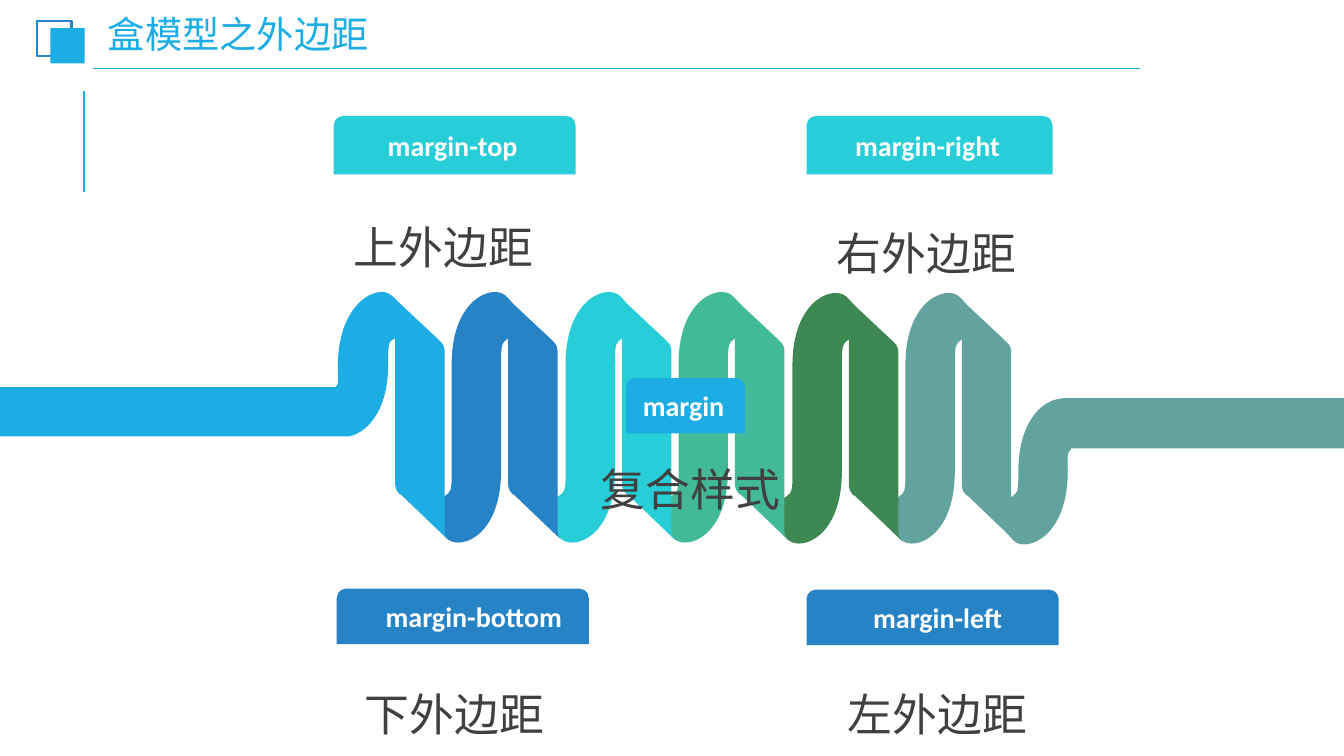
from collections import namedtuple
from dataclasses import dataclass
from lxml.etree import SubElement
from pptx import Presentation
from pptx.dml.color import RGBColor
from pptx.enum.shapes import MSO_CONNECTOR as Connector, MSO_SHAPE as Preset
from pptx.enum.text import MSO_ANCHOR as Anchor, MSO_AUTO_SIZE as AutoSize, PP_ALIGN as Align
from pptx.oxml.ns import qn
from pptx.util import Pt

EMU_PER_PX = 9144
Box = namedtuple("Box", "left top width height")
Label = namedtuple("Label", "tab color name shift caption_box caption")


@dataclass(frozen=True)
class Theme:
    font: str = "Calibri"
    sky: str = "1CADE4"
    blue: str = "2683C6"
    aqua: str = "27CED7"
    mint: str = "42BA97"
    green: str = "3E8853"
    sage: str = "62A39F"
    ink: str = "404040"
    white: str = "FFFFFF"
    title_size: float = 26.6
    tab_size: int = 20
    caption_size: int = 32


THEME = Theme()

ENTRY = [(-13, -3), (-8, -4, -3, -3, 0, 0), (9, 7, 23, 26, 20, 35),
         (18, 42, 9, 37, -1, 46), (-3, 49, -3, 57, -3, 69),
         (-3, 117, -26, 137, -42, 140), (-388, 140), (-388, 91), (-55, 91),
         (-53, 88), (-52, 84, -53, 77, -53, 69), (-52, 21, -30, 0, -13, -3)]
WAVE = [(-3, 174), (-3, 69), (-3, 57, -3, 49, 0, 46), (9, 37, 18, 42, 20, 35),
        (23, 26, 9, 7, 1, 0), (-12, -11, -52, 4, -52, 68), (-52, 174),
        (-52, 186, -52, 193, -55, 196), (-64, 205, -73, 201, -75, 207),
        (-78, 216, -64, 235, -56, 242), (-42, 253, -3, 238, -3, 174)]
SLAB = [(53, 234), (53, 56), (53, 54, 53, 49, 48, 45), (47, 44), (0, 0),
        (1, 0, 4, 4, 4, 9), (4, 187), (4, 188, 4, 193, 8, 197), (10, 198),
        (57, 243), (56, 242, 53, 239, 53, 234)]
EXIT = [(-7, 101), (271, 101), (271, 151), (0, 151), (0, 152),
        (-4, 154, -3, 162, -3, 174), (-3, 238, -43, 254, -56, 243),
        (-64, 235, -78, 217, -75, 207), (-73, 201, -64, 205, -55, 196),
        (-52, 194, -52, 186, -52, 174), (-52, 126, -30, 105, -13, 102),
        (-11, 102, -9, 101, -7, 101)]
COIL_COLORS = [THEME.sky, THEME.blue, THEME.aqua, THEME.mint, THEME.green, THEME.sage]
COIL_PITCH = 112.4

LABELS = [
    Label(Box(621, 375, 118, 55), THEME.sky, "margin", -2, Box(554, 437, 262, 75), "复合样式"),
    Label(Box(800, 585, 250, 55), THEME.blue, "margin-left", 5, Box(799, 660, 262, 75), "左外边距"),
    Label(Box(800, 115, 244, 58), THEME.aqua, "margin-right", -2, Box(788, 203, 262, 75), "右外边距"),
    Label(Box(331, 115, 240, 58), THEME.aqua, "margin-top", -2, Box(309, 197, 262, 75), "上外边距"),
    Label(Box(334, 584, 250, 55), THEME.blue, "margin-bottom", 11, Box(320, 660, 262, 75), "下外边距"),
]


def px(value):
    return round(value * EMU_PER_PX)


def emu(box):
    return [px(length) for length in box]


def rgb(color):
    return RGBColor.from_string(color)


def paint(shape, fill=None, line=None):
    shape.shadow.inherit = False
    if fill:
        shape.fill.solid()
        shape.fill.fore_color.rgb = rgb(fill)
    else:
        shape.fill.background()
    if line:
        shape.line.color.rgb = rgb(line)
        shape.line.width = Pt(1.5)
    else:
        shape.line.fill.background()


def write(frame, text, size, color, align=Align.CENTER, bold=False, spacing=None):
    paragraph = frame.paragraphs[0]
    paragraph.text = text
    paragraph.alignment = align
    paragraph.line_spacing = spacing
    font = paragraph.font
    font.name, font.size, font.bold = THEME.font, Pt(size), bold
    font.color.rgb = rgb(color)


def add_rule(slide, start, end, width):
    rule = slide.shapes.add_connector(Connector.STRAIGHT, *emu(start + end))
    rule.line.color.rgb = rgb(THEME.sky)
    rule.line.width = Pt(width)
    SubElement(rule._element.spPr, qn("a:effectLst"))


def add_header(slide, box, text):
    left, top = box.left, box.top
    add_rule(slide, (left + 46, top + box.height), (left + 46, top + 69), 1.5)
    add_rule(slide, (left + 55, top + 47), (left + box.width, top + 47), 1.25)
    for offset_x, offset_y, fill, line in [(0, 0, None, THEME.blue), (13, 7, THEME.sky, None)]:
        square = slide.shapes.add_shape(
            Preset.RECTANGLE, *emu((left + offset_x, top + offset_y, 34, 35)))
        paint(square, fill, line)
    title = slide.shapes.title
    title.left, title.top, title.width, title.height = emu((left + 63, top - 3, 393, 37))
    frame = title.text_frame
    frame.auto_size, frame.vertical_anchor = AutoSize.NONE, Anchor.MIDDLE
    frame.margin_left = frame.margin_right = px(7)
    frame.margin_top = frame.margin_bottom = px(4)
    write(frame, text, THEME.title_size, THEME.sky, Align.LEFT, spacing=0.9)


def bend(shape, outline):
    segments = iter(list(shape._element.iter(qn("a:lnTo"))))
    for step in outline[1:]:
        segment = next(segments)
        if len(step) == 6:
            segment.tag = qn("a:cubicBezTo")
            for handle in (next(segments), next(segments)):
                segment.append(handle[0])
                handle.getparent().remove(handle)


def add_piece(slide, outline, left, top, color):
    points = [(px(left + step[index]), px(top + step[index + 1]))
              for step in outline for index in range(0, len(step), 2)]
    builder = slide.shapes.build_freeform(*points[0], scale=1.0)
    builder.add_line_segments(points[1:], close=True)
    piece = builder.convert_to_shape()
    bend(piece, outline)
    paint(piece, color)


def add_ribbon(slide, left, top):
    def place(outline, index, color):
        add_piece(slide, outline, left + round(COIL_PITCH * index), top + index // 4, color)

    place(EXIT, len(COIL_COLORS), THEME.sage)
    for index, color in reversed(list(enumerate(COIL_COLORS))):
        place(WAVE if index else ENTRY, index, color)
        place(SLAB, index, color)


def add_label(slide, label):
    tab = slide.shapes.add_shape(Preset.ROUND_2_SAME_RECTANGLE, *emu(label.tab))
    paint(tab, label.color)
    frame = tab.text_frame
    frame.word_wrap = False
    frame.vertical_anchor = Anchor.MIDDLE
    frame.margin_left = px(max(2 * label.shift, 0))
    frame.margin_right = px(max(-2 * label.shift, 0))
    frame.margin_top, frame.margin_bottom = 0, px(3)
    write(frame, label.name, THEME.tab_size, THEME.white, bold=True)

    caption = slide.shapes.add_textbox(*emu(label.caption_box))
    caption.text_frame.word_wrap = True
    caption.text_frame.auto_size = AutoSize.SHAPE_TO_FIT_TEXT
    write(caption.text_frame, label.caption, THEME.caption_size, THEME.ink, spacing=1.3)


def main():
    presentation = Presentation()
    presentation.slide_width, presentation.slide_height = px(1333), px(750)
    slide = presentation.slides.add_slide(presentation.slide_layouts[5])
    add_header(slide, Box(37, 21, 1094, 169), "盒模型之外边距")
    add_ribbon(slide, 388, 293)
    for label in LABELS:
        add_label(slide, label)
    presentation.save("out.pptx")


if __name__ == "__main__":
    main()
